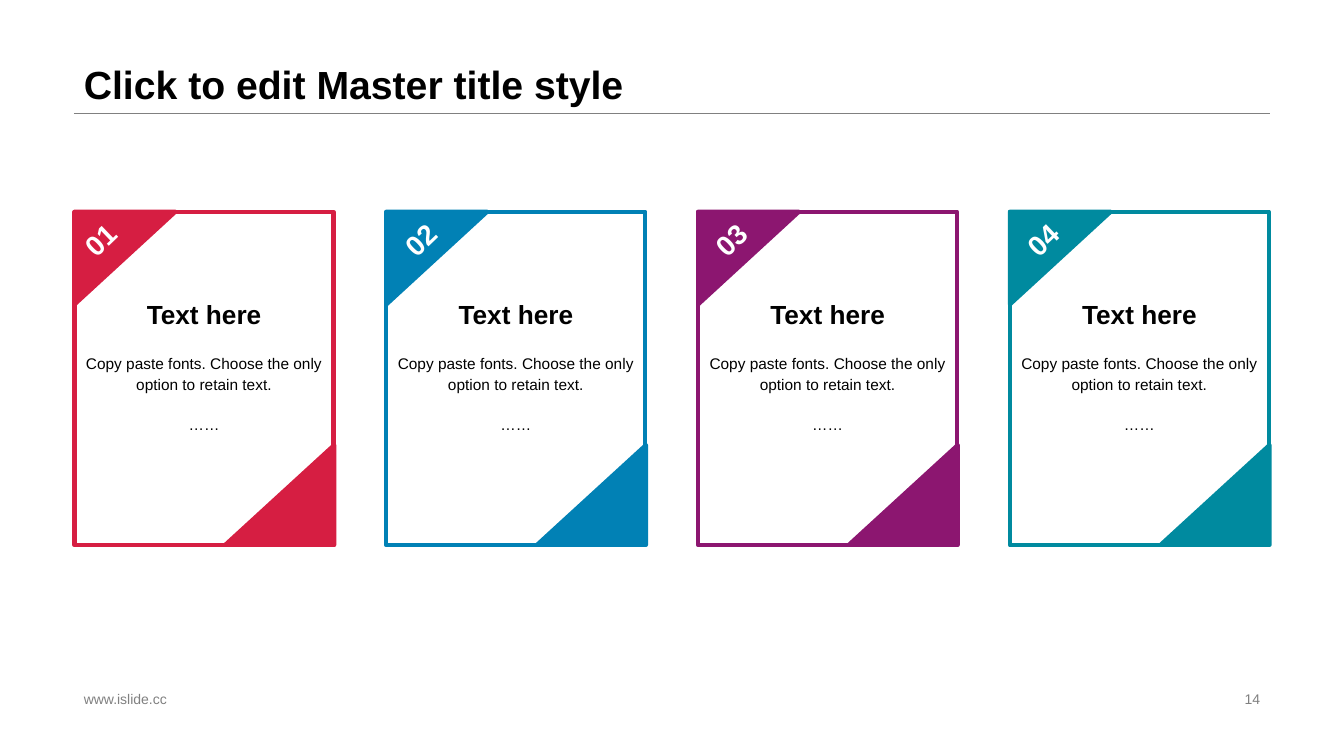
from dataclasses import dataclass

from lxml.etree import SubElement
from pptx import Presentation
from pptx.dml.color import RGBColor
from pptx.enum.shapes import MSO_CONNECTOR, MSO_SHAPE
from pptx.enum.text import MSO_ANCHOR, PP_ALIGN
from pptx.oxml.ns import qn
from pptx.slide import Slide
from pptx.util import Pt

COLORS = {
    "black": "000000",
    "white": "FFFFFF",
    "gray": "808080",
    "red": "D61E42",
    "blue": "0181B5",
    "purple": "8C1670",
    "teal": "008A9F",
}
FONT = "Arial"
MARGIN_LEFT = 52.8
CONTENT_WIDTH = 854.4
RULE_TOP = 80.8
CARD_LEFT = 53.3
CARD_TOP = 151.2
CARD_WIDTH = 185
CARD_HEIGHT = 238.3
CARD_PITCH = 222.7


@dataclass(frozen=True)
class Box:
    left: float
    top: float
    width: float
    height: float
    rotation: float = 0


@dataclass(frozen=True)
class TextStyle:
    size: float
    color: str = "black"
    bold: bool = False
    align: PP_ALIGN = PP_ALIGN.LEFT
    anchor: MSO_ANCHOR = MSO_ANCHOR.TOP
    wrap: bool = True
    line_spacing: float = 1
    gap: float = 0


@dataclass(frozen=True)
class Card:
    number: str
    color: str
    number_shift: float
    heading: str = "Text here"
    body: tuple[str, ...] = (
        "Copy paste fonts. Choose the only option to retain text.",
        "……",
    )


TITLE = TextStyle(28, bold=True, anchor=MSO_ANCHOR.BOTTOM, line_spacing=0.9)
FOOTER = TextStyle(10, "gray", anchor=MSO_ANCHOR.MIDDLE)
PAGE_NUMBER = TextStyle(10, "gray", align=PP_ALIGN.RIGHT, anchor=MSO_ANCHOR.MIDDLE)
HEADING = TextStyle(18.7, bold=True, align=PP_ALIGN.CENTER, wrap=False)
NUMBER = TextStyle(20, "white", bold=True, align=PP_ALIGN.CENTER, wrap=False)
BODY = TextStyle(11, align=PP_ALIGN.CENTER, line_spacing=1.1, gap=14)

CARDS = (
    Card("01", "red", 0),
    Card("02", "blue", 6),
    Card("03", "purple", 5),
    Card("04", "teal", 5),
)


def rgb(name: str) -> RGBColor:
    return RGBColor.from_string(COLORS[name])


def add_text(slide: Slide, box: Box, style: TextStyle, *lines: str) -> None:
    shape = slide.shapes.add_textbox(
        Pt(box.left), Pt(box.top), Pt(box.width), Pt(box.height)
    )
    shape.rotation = box.rotation
    frame = shape.text_frame
    frame.word_wrap = style.wrap
    frame.vertical_anchor = style.anchor
    for index, line in enumerate(lines):
        paragraph = frame.add_paragraph() if index else frame.paragraphs[0]
        paragraph.alignment = style.align
        paragraph.line_spacing = style.line_spacing
        if index:
            paragraph.space_before = Pt(style.gap)
        run = paragraph.add_run()
        run.text = line
        run.font.name = FONT
        run.font.size = Pt(style.size)
        run.font.bold = style.bold
        run.font.color.rgb = rgb(style.color)


def add_outline(
    slide: Slide, kind: MSO_SHAPE, box: Box, color: str, filled: bool
) -> None:
    shape = slide.shapes.add_shape(
        kind, Pt(box.left), Pt(box.top), Pt(box.width), Pt(box.height)
    )
    shape.rotation = box.rotation
    shape.shadow.inherit = False
    shape.line.color.rgb = rgb(color)
    shape.line.width = Pt(3)
    if filled:
        shape.fill.solid()
        shape.fill.fore_color.rgb = rgb(color)
    else:
        shape.fill.background()


def add_rule(slide: Slide) -> None:
    rule = slide.shapes.add_connector(
        MSO_CONNECTOR.STRAIGHT,
        Pt(MARGIN_LEFT),
        Pt(RULE_TOP),
        Pt(MARGIN_LEFT + CONTENT_WIDTH),
        Pt(RULE_TOP),
    )
    rule.line.color.rgb = rgb("gray")
    rule.line.width = Pt(0.25)
    SubElement(rule._element.spPr, qn("a:effectLst"))


def add_card(slide: Slide, card: Card, left: float) -> None:
    frame = Box(left, CARD_TOP, CARD_WIDTH, CARD_HEIGHT)
    top_corner = Box(left + 2.9, 148.3, 66.2, 72, 90)
    bottom_corner = Box(left + 110.9, 314.6, 71.3, 77.8, 270)
    add_outline(slide, MSO_SHAPE.RECTANGLE, frame, card.color, False)
    for corner in (top_corner, bottom_corner):
        add_outline(slide, MSO_SHAPE.RIGHT_TRIANGLE, corner, card.color, True)
    add_text(slide, Box(left, 209.5, CARD_WIDTH, 30.2), HEADING, card.heading)
    number_box = Box(left + card.number_shift, 155.5, 36.7, 31.7, 316.2)
    add_text(slide, number_box, NUMBER, card.number)
    add_text(slide, Box(left, 248.4, CARD_WIDTH, 66.2), BODY, *card.body)


def main() -> None:
    presentation = Presentation()
    presentation.slide_width = Pt(960)
    presentation.slide_height = Pt(540)
    slide = presentation.slides.add_slide(presentation.slide_layouts[6])
    add_rule(slide)
    add_text(
        slide,
        Box(MARGIN_LEFT, 0, CONTENT_WIDTH, RULE_TOP),
        TITLE,
        "Click to edit Master title style",
    )
    add_text(slide, Box(MARGIN_LEFT, 491, 326, 16.5), FOOTER, "www.islide.cc")
    add_text(slide, Box(678.2, 491, 229, 16.5), PAGE_NUMBER, "14")
    for index, card in enumerate(CARDS):
        add_card(slide, card, CARD_LEFT + index * CARD_PITCH)
    presentation.save("out.pptx")


if __name__ == "__main__":
    main()
